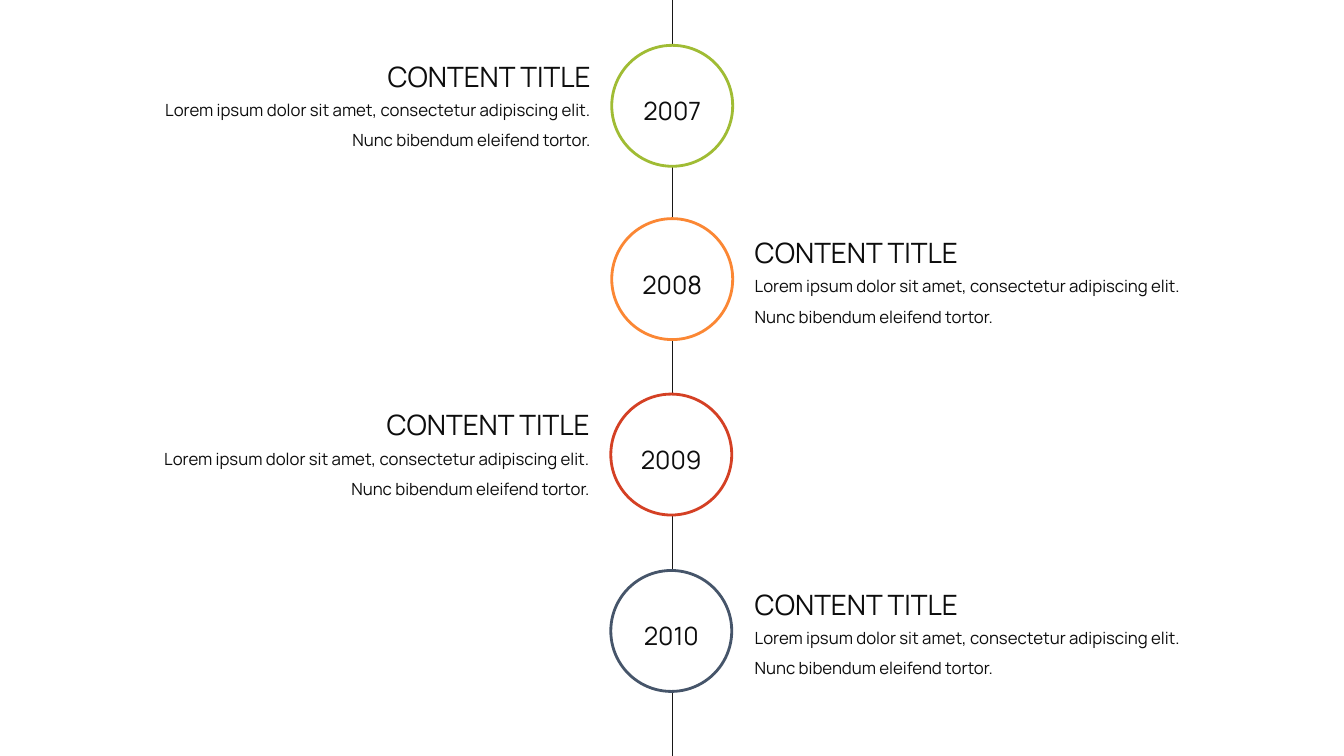
from dataclasses import dataclass

from lxml import etree
from pptx import Presentation
from pptx.dml.color import RGBColor
from pptx.enum.shapes import MSO_CONNECTOR, MSO_SHAPE
from pptx.enum.text import MSO_AUTO_SIZE, PP_ALIGN as Align
from pptx.oxml.ns import qn
from pptx.util import Pt

SLIDE_W, SLIDE_H = 960, 540
FONT, INK = "Manrope", "0D0D0D"
CIRCLE = 86.4
YEAR_DROP, YEAR_H = 21.6, 40.3
TEXT_W, BODY_H = 339.1, 48.2
TITLE_RISE = 33.8
TITLE = "CONTENT TITLE"
BODY = ("Lorem ipsum dolor sit amet, consectetur adipiscing elit. "
        "Nunc bibendum eleifend tortor.")


@dataclass(frozen=True)
class Side:
    title_align: Align
    body_align: Align
    title_h: float


@dataclass(frozen=True)
class Milestone:
    year: str
    color: str
    circle_x: float
    circle_y: float
    text_x: float
    body_y: float
    side: Side


LEFT = Side(Align.RIGHT, Align.RIGHT, 39.6)
RIGHT = Side(Align.JUSTIFY, Align.LEFT, 43.9)

MILESTONES = [
    Milestone("2007", "A0BC34", 437, 32.4, 90, 60.5, LEFT),
    Milestone("2008", "FB8734", 437, 156.2, 532, 186.5, RIGHT),
    Milestone("2009", "D44024", 436.3, 281.5, 89.3, 309.6, LEFT),
    Milestone("2010", "46556A", 436.3, 407.5, 532, 437.8, RIGHT),
]


def rgb(value: str) -> RGBColor:
    return RGBColor.from_string(value)


def add_text(shapes, text: str, x: float, y: float, w: float, h: float,
             size: float, align: Align) -> None:
    tf = shapes.add_textbox(Pt(x), Pt(y), Pt(w), Pt(h)).text_frame
    tf.word_wrap = True
    tf.auto_size = MSO_AUTO_SIZE.SHAPE_TO_FIT_TEXT
    tf.text = text
    p = tf.paragraphs[0]
    p.alignment = align
    p.line_spacing = 1.5
    font = p.runs[0].font
    font.name, font.size = FONT, Pt(size)
    font.color.rgb = rgb(INK)


def add_axis(s) -> None:
    mid = Pt(SLIDE_W / 2)
    axis = s.shapes.add_connector(MSO_CONNECTOR.STRAIGHT, mid, Pt(0), mid, Pt(SLIDE_H))
    axis.line.color.rgb = rgb("181717")
    axis.line.width = Pt(0.5)
    etree.SubElement(axis._element.spPr, qn("a:effectLst"))


def add_milestone(s, m: Milestone) -> None:
    # Circle and year, grouped
    group = s.shapes.add_group_shape()
    circle = group.shapes.add_shape(MSO_SHAPE.OVAL, Pt(m.circle_x), Pt(m.circle_y),
                                    Pt(CIRCLE), Pt(CIRCLE))
    circle.shadow.inherit = False
    circle.fill.solid()
    circle.fill.fore_color.rgb = rgb("FFFFFF")
    circle.line.color.rgb = rgb(m.color)
    circle.line.width = Pt(2)
    add_text(group.shapes, m.year, m.circle_x, m.circle_y + YEAR_DROP,
             CIRCLE, YEAR_H, 18, Align.CENTER)

    # Description beside the circle
    add_text(s.shapes, BODY, m.text_x, m.body_y, TEXT_W, BODY_H, 12, m.side.body_align)
    add_text(s.shapes, TITLE, m.text_x, m.body_y - TITLE_RISE, TEXT_W, m.side.title_h,
             20, m.side.title_align)


def main() -> None:
    prs = Presentation()
    prs.slide_width, prs.slide_height = Pt(SLIDE_W), Pt(SLIDE_H)
    s = prs.slides.add_slide(prs.slide_layouts[6])
    add_axis(s)
    for milestone in MILESTONES:
        add_milestone(s, milestone)
    prs.save("out.pptx")


if __name__ == "__main__":
    main()
